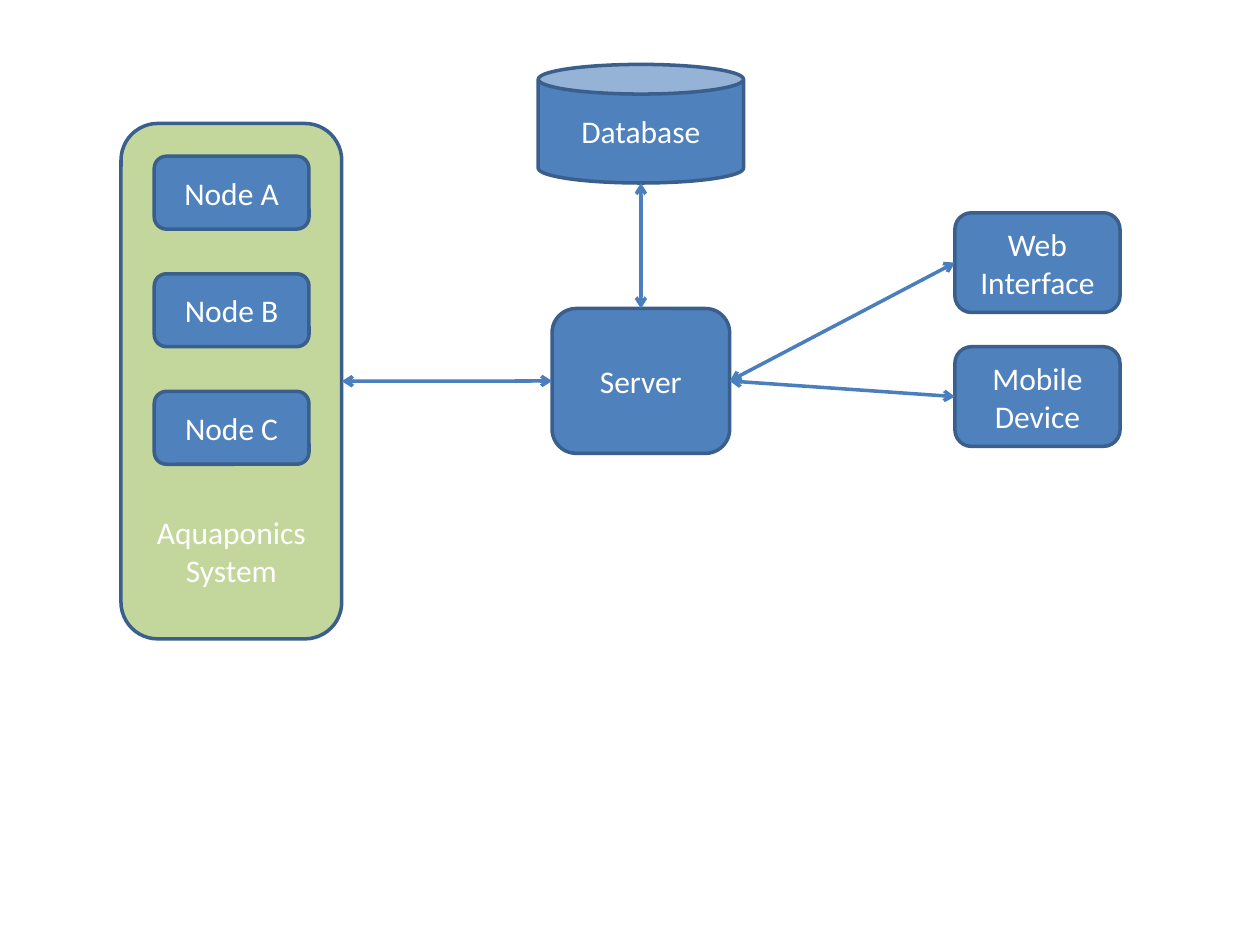
from lxml import etree
from pptx import Presentation
from pptx.dml.color import RGBColor
from pptx.enum import shapes, text
from pptx.oxml.ns import qn
from pptx.util import Cm, Pt

THEME = {
    "font": "Calibri", "size": Pt(18), "line_width": Pt(2),
    "text": RGBColor.from_string("FFFFFF"),
    "box": RGBColor.from_string("4F81BD"),
    "system": RGBColor.from_string("C3D69B"),
    "outline": RGBColor.from_string("3A5F8C"),
    "arrow": RGBColor.from_string("4B7EBC"),
}

# Content: label and left, top, width, height in cm
SYSTEM = (["Aquaponics", "System"], (2.44, 2.49, 4.45, 10.39))
SYSTEM_LABEL_INSET = 0.79
SERVER = ("Server", (11.13, 6.22, 3.58, 2.92))
DATABASE = ("Database", (10.85, 1.3, 4.14, 2.39))

# Columns of equal boxes: labels, first box, vertical step
COLUMNS = [
    (["Node A", "Node B", "Node C"], (3.11, 3.15, 3.12, 1.47), 2.37),
    (["Web Interface", "Mobile Device"], (19.25, 4.29, 3.33, 2.01), 2.7),
]

# Two-way links: box and side at each end
LINKS = [
    ("System", "right", "Server", "left"),
    ("Server", "top", "Database", "bottom"),
    ("Server", "right", "Web Interface", "left"),
    ("Server", "right", "Mobile Device", "left"),
]
SIDES = {"left": (0, 0.5), "right": (1, 0.5), "top": (0.5, 0), "bottom": (0.5, 1)}


def add_box(slide, lines, place, fill="box", kind=shapes.MSO_SHAPE.ROUNDED_RECTANGLE):
    shape = slide.shapes.add_shape(kind, *map(Cm, place))
    shape.shadow.inherit = False
    shape.fill.solid()
    shape.fill.fore_color.rgb = THEME[fill]
    shape.line.color.rgb = THEME["outline"]
    shape.line.width = THEME["line_width"]
    frame = shape.text_frame
    frame.word_wrap = True
    frame.vertical_anchor = text.MSO_ANCHOR.MIDDLE
    for index, line in enumerate(lines):
        paragraph = frame.add_paragraph() if index else frame.paragraphs[0]
        paragraph.alignment = text.PP_ALIGN.CENTER
        run = paragraph.add_run()
        run.text = line
        run.font.name = THEME["font"]
        run.font.size = THEME["size"]
        run.font.color.rgb = THEME["text"]
    return shape


def side_point(shape, side):
    across, down = SIDES[side]
    return (round(shape.left + across * shape.width),
            round(shape.top + down * shape.height))


def add_link(slide, start, end):
    connector = slide.shapes.add_connector(
        shapes.MSO_CONNECTOR.STRAIGHT, *start, *end)
    connector.line.color.rgb = THEME["arrow"]
    connector.line.width = THEME["line_width"]
    # Arrowheads at both ends, no shadow
    outline = connector.line._get_or_add_ln()
    for tag in ("a:headEnd", "a:tailEnd"):
        etree.SubElement(outline, qn(tag), type="arrow")
    etree.SubElement(connector._element.spPr, qn("a:effectLst"))


def main():
    presentation = Presentation()
    presentation.slide_width, presentation.slide_height = Cm(25.4), Cm(19.05)
    slide = presentation.slides.add_slide(presentation.slide_layouts[6])

    # System panel, labelled near its foot
    system = add_box(slide, *SYSTEM, fill="system")
    system.text_frame.vertical_anchor = text.MSO_ANCHOR.BOTTOM
    system.text_frame.margin_bottom = Cm(SYSTEM_LABEL_INSET)
    boxes = {"System": system}

    # Server and database
    for (label, place), kind in (
            (SERVER, shapes.MSO_SHAPE.ROUNDED_RECTANGLE),
            (DATABASE, shapes.MSO_SHAPE.CAN)):
        boxes[label] = add_box(slide, [label], place, kind=kind)

    # Nodes and clients
    for labels, (left, top, width, height), step in COLUMNS:
        for row, label in enumerate(labels):
            place = (left, top + row * step, width, height)
            boxes[label] = add_box(slide, [label], place)

    # Links
    for source, source_side, target, target_side in LINKS:
        add_link(slide, side_point(boxes[source], source_side),
                 side_point(boxes[target], target_side))

    presentation.save("out.pptx")


if __name__ == "__main__":
    main()
